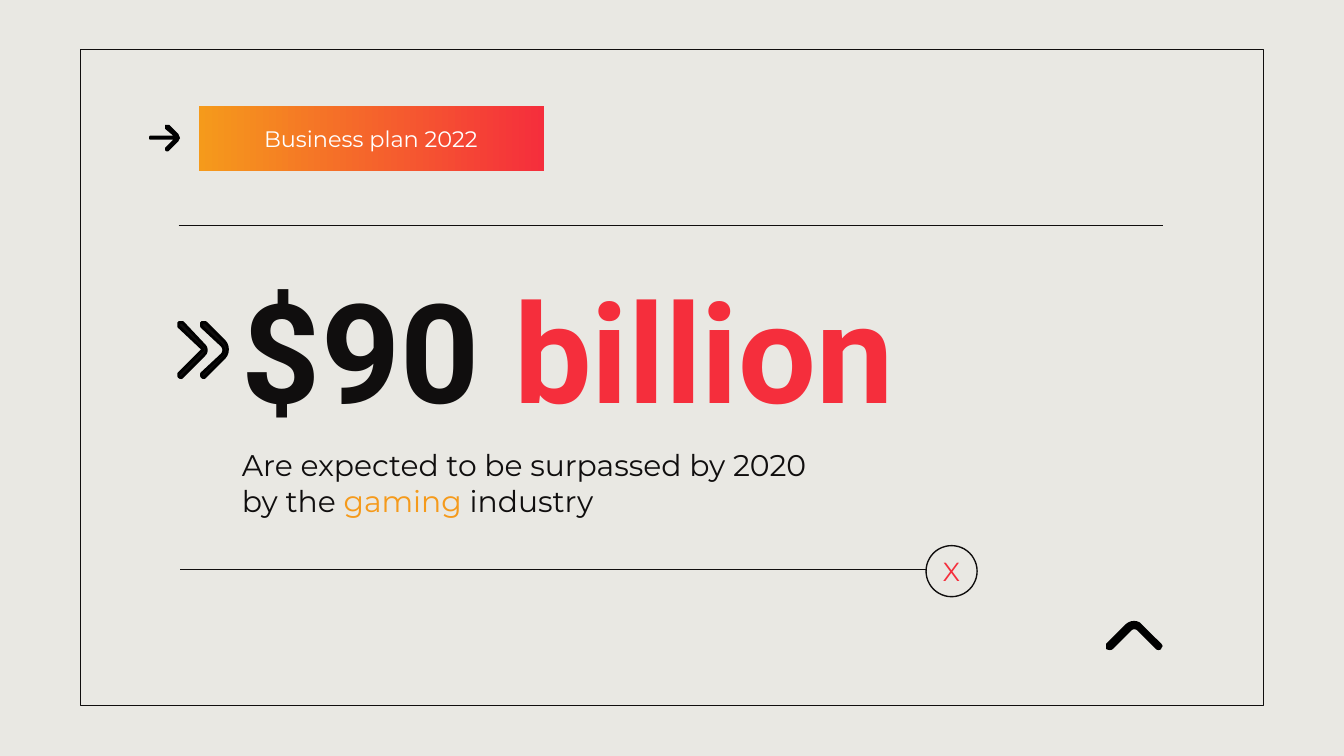
from dataclasses import dataclass

from lxml.etree import SubElement
from pptx import Presentation
from pptx.dml.color import RGBColor
from pptx.enum.shapes import MSO_CONNECTOR, MSO_SHAPE
from pptx.enum.text import MSO_ANCHOR, MSO_AUTO_SIZE, PP_ALIGN
from pptx.oxml.ns import qn
from pptx.util import Inches, Pt


@dataclass(frozen=True)
class Theme:
    paper: str = "E9E8E3"
    ink: str = "100E0E"
    black: str = "000000"
    white: str = "FFFFFF"
    red: str = "F52E3C"
    orange: str = "F59A1B"
    display: str = "Roboto"
    text: str = "Montserrat"
    figure_size: float = 74
    body_size: float = 16
    mark_size: float = 14
    label_size: float = 12
    thin: float = 0.75
    thick: float = 1.5


@dataclass(frozen=True)
class Box:
    left: float
    top: float
    width: float
    height: float

    def inside(self, left, top, width, height):
        return Box(self.left + left, self.top + top, width, height)

    def lengths(self):
        return [Inches(n) for n in (self.left, self.top, self.width, self.height)]


THEME = Theme()

ARROW = [(13, 0), (14, 0, 14, 0, 15, 0), (22, 7), (22, 8, 23, 9, 23, 10),
         (23, 10, 22, 11, 22, 12), (15, 19), (14, 20, 13, 20, 12, 19),
         (12, 18, 12, 17, 12, 17), (18, 11), (1, 11), (0, 11, 0, 10, 0, 10),
         (0, 9, 0, 8, 1, 8), (18, 8), (12, 3), (12, 2, 12, 1, 12, 0)]
CARET = [(0, 20), (0, 19, 0, 18, 0, 18), (14, 4), (18, 0, 24, 0, 27, 4), (41, 18),
         (41, 18, 42, 19, 42, 20), (42, 20, 41, 21, 41, 22),
         (40, 23, 38, 23, 37, 22), (23, 8), (22, 7, 20, 7, 19, 8), (5, 22),
         (4, 23, 2, 23, 0, 22)]
CHEVRON_END = [(2, 41), (1, 41, 1, 41, 0, 40), (0, 40, 0, 38, 0, 38)]
CHEVRON_START = [(0, 3), (0, 2, 0, 1, 0, 0), (1, 0, 1, 0, 2, 0), (2, 0, 3, 0, 3, 0)]
LEFT_CHEVRON = [*CHEVRON_END, (17, 21), (18, 21, 18, 20, 17, 19), *CHEVRON_START,
                (19, 17), (21, 19, 21, 22, 19, 24), (3, 40)]
RIGHT_CHEVRON = [*CHEVRON_END, (15, 24), (17, 22, 17, 19, 15, 17), *CHEVRON_START,
                 (17, 14), (20, 17, 20, 23, 17, 26), (3, 40)]


def color(value):
    return RGBColor.from_string(value)


def write(shape, runs, *, font, size, bold=False, align=PP_ALIGN.LEFT,
          anchor=MSO_ANCHOR.MIDDLE):
    frame = shape.text_frame
    frame.word_wrap = True
    frame.auto_size = MSO_AUTO_SIZE.NONE
    frame.vertical_anchor = anchor
    frame.margin_left = frame.margin_right = Inches(0.1)
    frame.margin_top = frame.margin_bottom = Inches(0.1)
    para = frame.paragraphs[0]
    para.alignment = align
    para.space_before = Pt(0)
    for text, tint in runs:
        span = para.add_run()
        span.text = text
        span.font.name = font
        span.font.size = Pt(size)
        span.font.bold = bold
        span.font.color.rgb = color(tint)


def place(shape, box):
    shape.left, shape.top, shape.width, shape.height = box.lengths()


def add_outline(page, kind, box):
    shape = page.shapes.add_shape(kind, *box.lengths())
    shape.shadow.inherit = False
    shape.fill.background()
    shape.line.color.rgb = color(THEME.ink)
    shape.line.width = Pt(THEME.thin)


def add_rule(page, box):
    left, top, width, height = box.lengths()
    rule = page.shapes.add_connector(
        MSO_CONNECTOR.STRAIGHT, left, top, left + width, top + height)
    rule.line.color.rgb = color(THEME.ink)
    rule.line.width = Pt(THEME.thin)
    SubElement(rule._element.spPr, qn("a:effectLst"))


def curve_points(start, curve, steps=6):
    ends = [start, curve[0:2], curve[2:4], curve[4:6]]
    for step in range(1, steps + 1):
        t = step / steps
        weights = ((1 - t) ** 3, 3 * t * (1 - t) ** 2, 3 * t ** 2 * (1 - t), t ** 3)
        yield tuple(sum(w * end[axis] for w, end in zip(weights, ends))
                    for axis in (0, 1))


def add_icon(page, box, outline, fill, line_width=0):
    points = [outline[0]]
    for part in outline[1:]:
        points.extend([part] if len(part) == 2 else curve_points(points[-1], part))
    unit = Inches(0.01)
    points = [(round(x * unit), round(y * unit)) for x, y in points]
    builder = page.shapes.build_freeform(*points[0])
    builder.add_line_segments(points[1:], close=True)
    icon = builder.convert_to_shape(Inches(box.left), Inches(box.top))
    icon.shadow.inherit = False
    icon.fill.solid()
    icon.fill.fore_color.rgb = color(fill)
    if line_width:
        icon.line.color.rgb = color(THEME.black)
        icon.line.width = Pt(line_width)
    else:
        icon.line.fill.background()


def add_label(page, box, text, tint, size):
    label = page.shapes.add_textbox(*box.lengths())
    write(label, [(text, tint)], font=THEME.text, size=size, align=PP_ALIGN.CENTER)


def add_header(page, box):
    add_icon(page, box.inside(0, 0.14, 0.23, 0.2), ARROW, THEME.black)
    banner = page.shapes.add_shape(
        MSO_SHAPE.RECTANGLE, *box.inside(0.37, 0, 2.57, 0.48).lengths())
    banner.shadow.inherit = False
    banner.line.fill.background()
    banner.fill.gradient()
    banner.fill.gradient_angle = 0
    for stop, tint in zip(banner.fill.gradient_stops, (THEME.orange, THEME.red)):
        stop.color.rgb = color(tint)
    add_label(page, box.inside(0.71, 0.12, 1.88, 0.24), "Business plan 2022",
              THEME.white, THEME.label_size)
    add_rule(page, box.inside(0.22, 0.89, 7.32, 0))


def add_figure(page, box):
    title, subtitle = page.placeholders
    place(title, box.inside(0.37, 0, 7.19, 1.41))
    write(title, [("$90 ", THEME.ink), ("billion", THEME.red)], font=THEME.display,
          size=THEME.figure_size, bold=True, anchor=MSO_ANCHOR.BOTTOM)
    place(subtitle, box.inside(0.37, 1.41, 4.72, 0.56))
    write(subtitle, [("Are expected to be surpassed by 2020 by the ", THEME.ink),
                     ("gaming ", THEME.orange), ("industry", THEME.ink)],
          font=THEME.text, size=THEME.body_size)
    add_icon(page, box.inside(0.17, 0.5, 0.2, 0.41), RIGHT_CHEVRON, THEME.ink, THEME.thick)
    add_icon(page, box.inside(0, 0.5, 0.22, 0.41), LEFT_CHEVRON, THEME.ink, THEME.thick)


def add_footer(page, box):
    add_rule(page, box.inside(0, 0.18, 5.55, 0))
    add_outline(page, MSO_SHAPE.OVAL, box.inside(5.55, 0, 0.38, 0.38))
    add_label(page, box.inside(5.45, 0.06, 0.58, 0.26), "X", THEME.red, THEME.mark_size)
    add_icon(page, box.inside(6.89, 0.55, 0.42, 0.23), CARET, THEME.black)


def main():
    deck = Presentation()
    deck.slide_width = Inches(10)
    deck.slide_height = deck.slide_width * 9 // 16
    page = deck.slides.add_slide(deck.slide_layouts[0])
    page.background.fill.solid()
    page.background.fill.fore_color.rgb = color(THEME.paper)
    frame = Box(0.6, 0.37, 8.8, 4.88)
    add_outline(page, MSO_SHAPE.RECTANGLE, frame)
    add_header(page, frame.inside(0.51, 0.42, 7.54, 0.89))
    add_figure(page, frame.inside(0.73, 1.53, 7.56, 1.97))
    add_footer(page, frame.inside(0.74, 3.69, 7.31, 0.78))
    deck.save("out.pptx")


if __name__ == "__main__":
    main()
